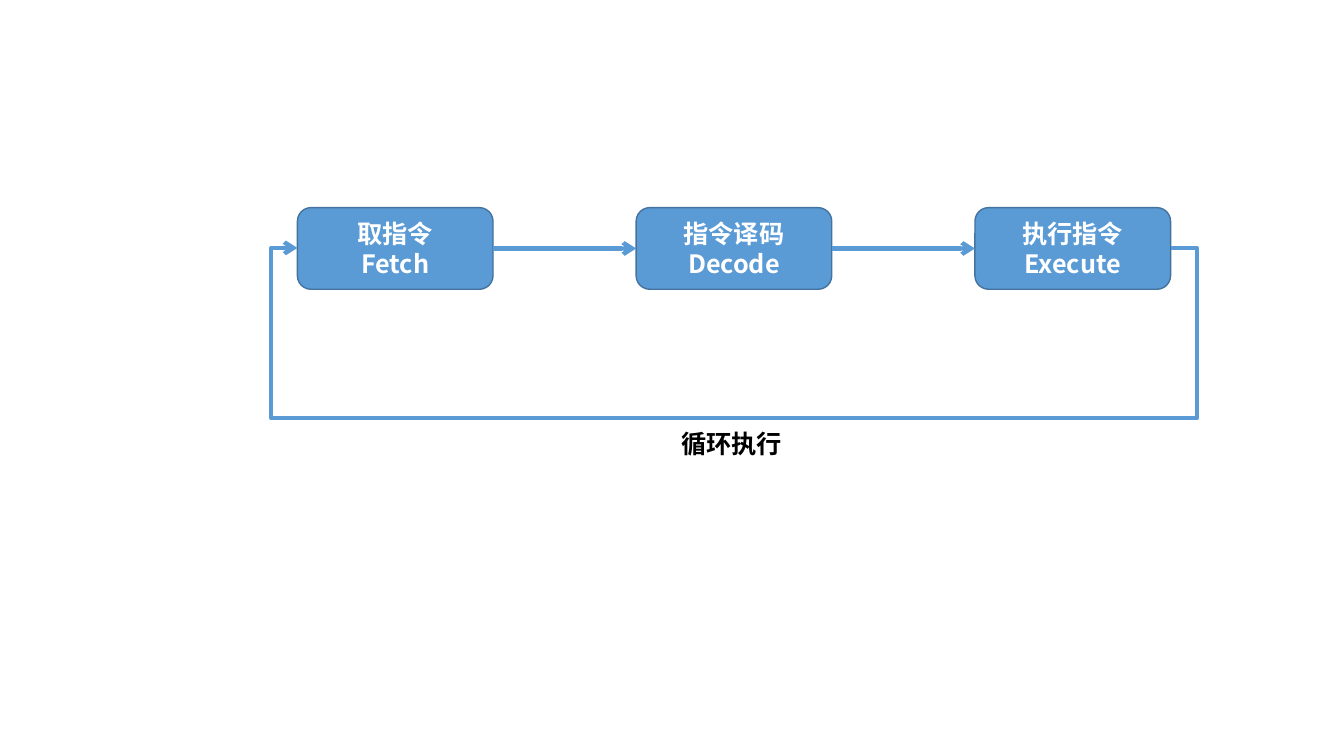
from dataclasses import dataclass

from lxml import etree
from pptx import Presentation
from pptx.dml.color import RGBColor
from pptx.enum.shapes import MSO_CONNECTOR, MSO_SHAPE
from pptx.enum.text import MSO_ANCHOR, PP_ALIGN
from pptx.oxml.ns import qn
from pptx.util import Inches, Pt

ROUND = MSO_SHAPE.ROUNDED_RECTANGLE
STRAIGHT = MSO_CONNECTOR.STRAIGHT
MIDDLE = MSO_ANCHOR.MIDDLE
LEFT, CENTER = PP_ALIGN.LEFT, PP_ALIGN.CENTER

BLUE = RGBColor(0x5B, 0x9B, 0xD5)
EDGE = RGBColor(0x43, 0x73, 0x9E)
WHITE = RGBColor(0xFF, 0xFF, 0xFF)
BLACK = RGBColor(0, 0, 0)
FONT = "Noto Sans CJK SC"

START, STEP, TOP = 2.95, 3.36, 2.06
WIDTH, HEIGHT = 1.94, 0.81
MID = 2.46
LOOP_PAD, LOOP_LOW = 0.26, 4.15
LEFT_SITE, RIGHT_SITE = 1, 3


@dataclass
class Stage:
    """One stage of the instruction cycle."""
    name: str
    term: str


STAGES = [
    Stage("取指令", "Fetch"),
    Stage("指令译码", "Decode"),
    Stage("执行指令", "Execute"),
]


def write(frame, *lines: str, color=BLACK, size=18, bold=True, align=LEFT) -> None:
    """Fill a text frame with one paragraph per line."""
    frame.word_wrap = True
    for i, line in enumerate(lines):
        para = frame.add_paragraph() if i else frame.paragraphs[0]
        para.alignment = align
        run = para.add_run()
        run.text = line
        font = run.font
        font.name, font.size, font.bold = FONT, Pt(size), bold
        font.color.rgb = color
        east = etree.SubElement(font._element, qn("a:ea"))
        east.set("typeface", FONT)


def style_arrow(line) -> None:
    """Give a line its colour, width and open arrowhead."""
    line.color.rgb = BLUE
    line.width = Pt(3)
    etree.SubElement(line._get_or_add_ln(), qn("a:tailEnd")).set("type", "arrow")


def add_stage(shapes, stage: Stage, left: float):
    """Draw the rounded box of a stage."""
    box = shapes.add_shape(ROUND, Inches(left), Inches(TOP),
                           Inches(WIDTH), Inches(HEIGHT))
    box.shadow.inherit = False
    box.fill.solid()
    box.fill.fore_color.rgb = BLUE
    box.line.color.rgb = EDGE
    box.line.width = Pt(1)
    box.text_frame.vertical_anchor = MIDDLE
    write(box.text_frame, stage.name, stage.term, color=WHITE, align=CENTER)
    return box


def add_link(shapes, first, second) -> None:
    """Join two neighbouring boxes with an arrow."""
    y = Inches(MID)
    link = shapes.add_connector(STRAIGHT, first.left + first.width, y,
                                second.left, y)
    link.begin_connect(first, RIGHT_SITE)
    link.end_connect(second, LEFT_SITE)
    style_arrow(link.line)
    etree.SubElement(link._element.spPr, qn("a:effectLst"))


def add_loop(shapes, left: float, right: float) -> None:
    """Draw the arrow from the last box back to the first."""
    far, near = right + LOOP_PAD, left - LOOP_PAD
    route = [(far, MID), (far, LOOP_LOW), (near, LOOP_LOW),
             (near, MID), (left, MID)]
    path = shapes.build_freeform(Inches(right), Inches(MID))
    path.add_line_segments([(Inches(x), Inches(y)) for x, y in route], close=False)
    loop = path.convert_to_shape()
    loop.shadow.inherit = False
    loop.fill.background()
    style_arrow(loop.line)


def main() -> None:
    """Build the slide and save it."""
    deck = Presentation()
    deck.slide_width, deck.slide_height = Inches(13.33), Inches(7.5)
    slide = deck.slides.add_slide(deck.slide_layouts[6])
    shapes = slide.shapes.add_group_shape().shapes

    boxes = [add_stage(shapes, stage, START + i * STEP)
             for i, stage in enumerate(STAGES)]
    for first, second in zip(boxes, boxes[1:]):
        add_link(shapes, first, second)
    add_loop(shapes, START, START + (len(STAGES) - 1) * STEP + WIDTH)

    label = shapes.add_textbox(Inches(6.66), Inches(4.2), Inches(1.24), Inches(0.4))
    write(label.text_frame, "循环执行")

    deck.save("out.pptx")


main()
